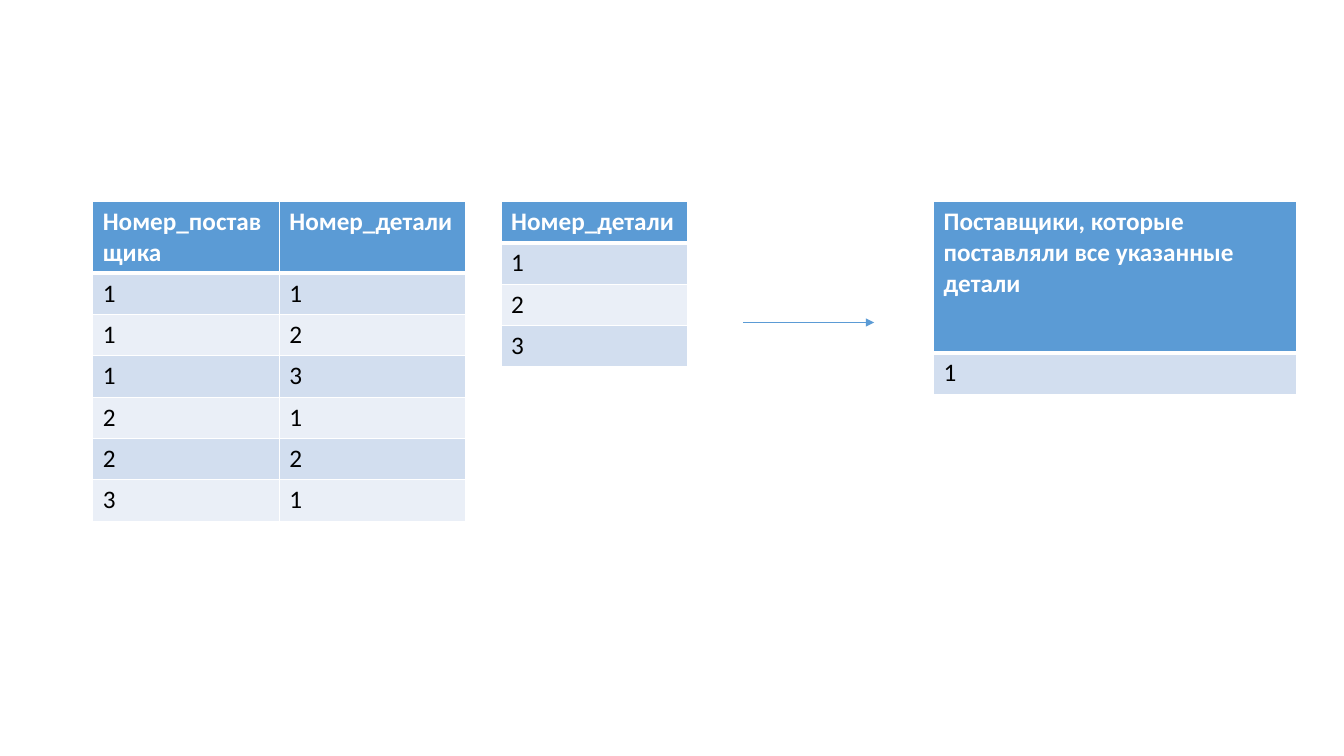
from lxml.etree import SubElement
from pptx import Presentation
from pptx.dml.color import RGBColor
from pptx.enum.shapes import MSO_CONNECTOR as Connector
from pptx.oxml.ns import qn
from pptx.util import Inches, Pt

FONT = "Calibri"
BLUE, WHITE, BLACK = "5B9BD5", "FFFFFF", "000000"
BANDS = ("D2DEEF", "EAEFF7")
TOP = 2
ROW = 0.41
COLUMN = 1.85


def color(code):
    return RGBColor.from_string(code)


def set_borders(cell, **widths):
    """Draw white cell borders; widths maps a side (L, R, T, B) to points."""
    props = cell._tc.get_or_add_tcPr()
    for index, (side, width) in enumerate(widths.items()):
        line = props.makeelement(qn(f"a:ln{side}"), {"w": str(Pt(width))})
        fill = SubElement(line, qn("a:solidFill"))
        SubElement(fill, qn("a:srgbClr"), val=WHITE)
        props.insert(index, line)


def style_cell(cell, text, row):
    header = row == 0
    cell.text = text
    font = cell.text_frame.paragraphs[0].font
    font.name, font.size, font.bold = FONT, Pt(18), header
    font.color.rgb = color(WHITE if header else BLACK)
    cell.fill.solid()
    cell.fill.fore_color.rgb = color(BLUE if header else BANDS[(row - 1) % 2])
    # A thick rule parts the header from the rows
    set_borders(cell, L=1, R=1, T=3 if row == 1 else 1, B=3 if header else 1)


def add_relation(page, left, column_width, row_heights, rows):
    columns = len(rows[0])
    frame = page.shapes.add_table(
        len(rows), columns, Inches(left), Inches(TOP),
        Inches(column_width * columns), Inches(sum(row_heights)))
    table = frame.table
    for column in table.columns:
        column.width = Inches(column_width)
    for index, (height, values) in enumerate(zip(row_heights, rows)):
        table.rows[index].height = Inches(height)
        for column, text in enumerate(values):
            style_cell(table.cell(index, column), text, index)


def add_arrow(page, left, y, width):
    arrow = page.shapes.add_connector(
        Connector.STRAIGHT, Inches(left), Inches(y), Inches(left + width), Inches(y))
    arrow.line.color.rgb = color(BLUE)
    arrow.line.width = Pt(0.5)
    SubElement(arrow.line._get_or_add_ln(), qn("a:tailEnd"), type="triangle")
    SubElement(arrow._element.spPr, qn("a:effectLst"))


def build_division_slide(deck):
    page = deck.slides.add_slide(deck.slide_layouts[6])

    # Dividend: which supplier delivers which part
    supplies = [("Номер_поставщика", "Номер_детали"),
                *("11", "12", "13", "21", "22", "31")]
    add_relation(page, 0.92, COLUMN, [ROW] * len(supplies), supplies)

    # Divisor: the parts asked for
    parts = [("Номер_детали",), *"123"]
    add_relation(page, 4.97, COLUMN, [ROW] * len(parts), parts)

    # Quotient: suppliers of all those parts
    add_arrow(page, 7.37, 3.2, 1.3)
    result = [("Поставщики, которые поставляли все указанные детали",), "1"]
    add_relation(page, 9.26, 3.6, [1.5, ROW], result)


def main():
    deck = Presentation()
    deck.slide_width, deck.slide_height = Inches(13.33), Inches(7.5)
    build_division_slide(deck)
    deck.save("out.pptx")


if __name__ == "__main__":
    main()
